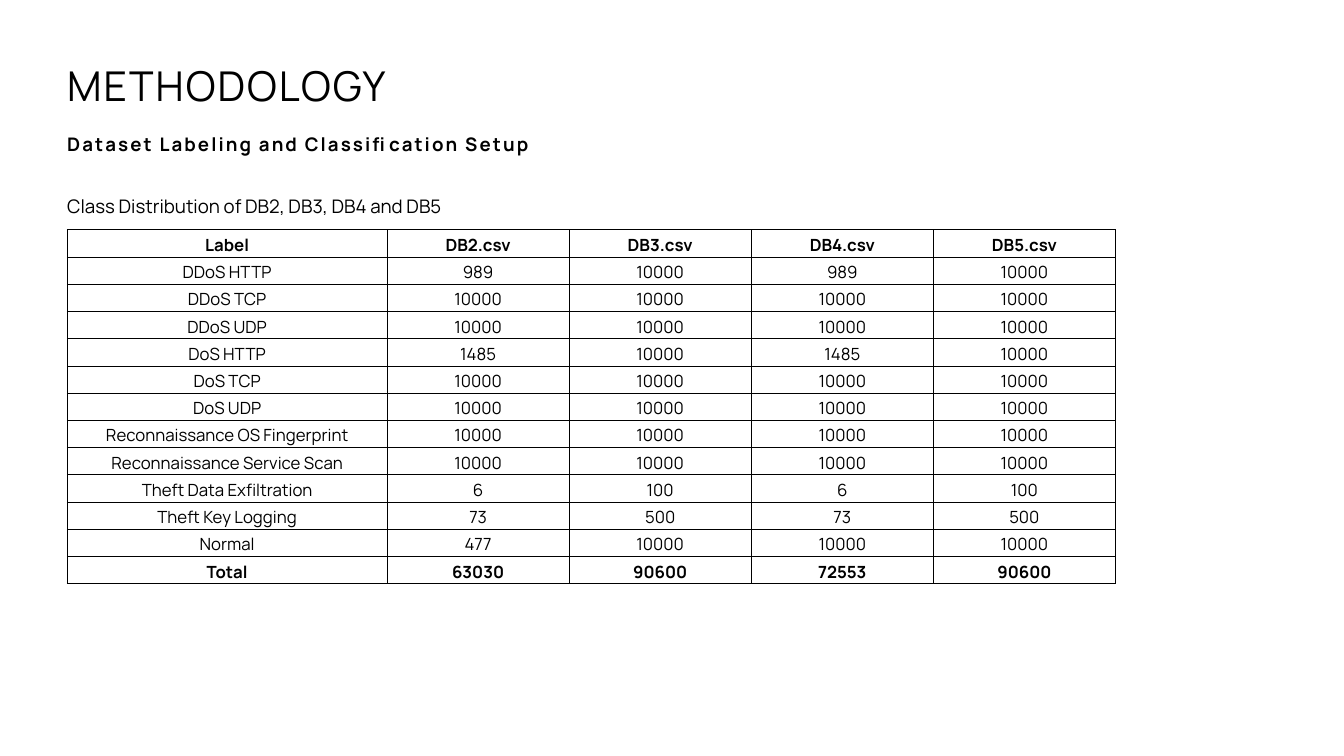
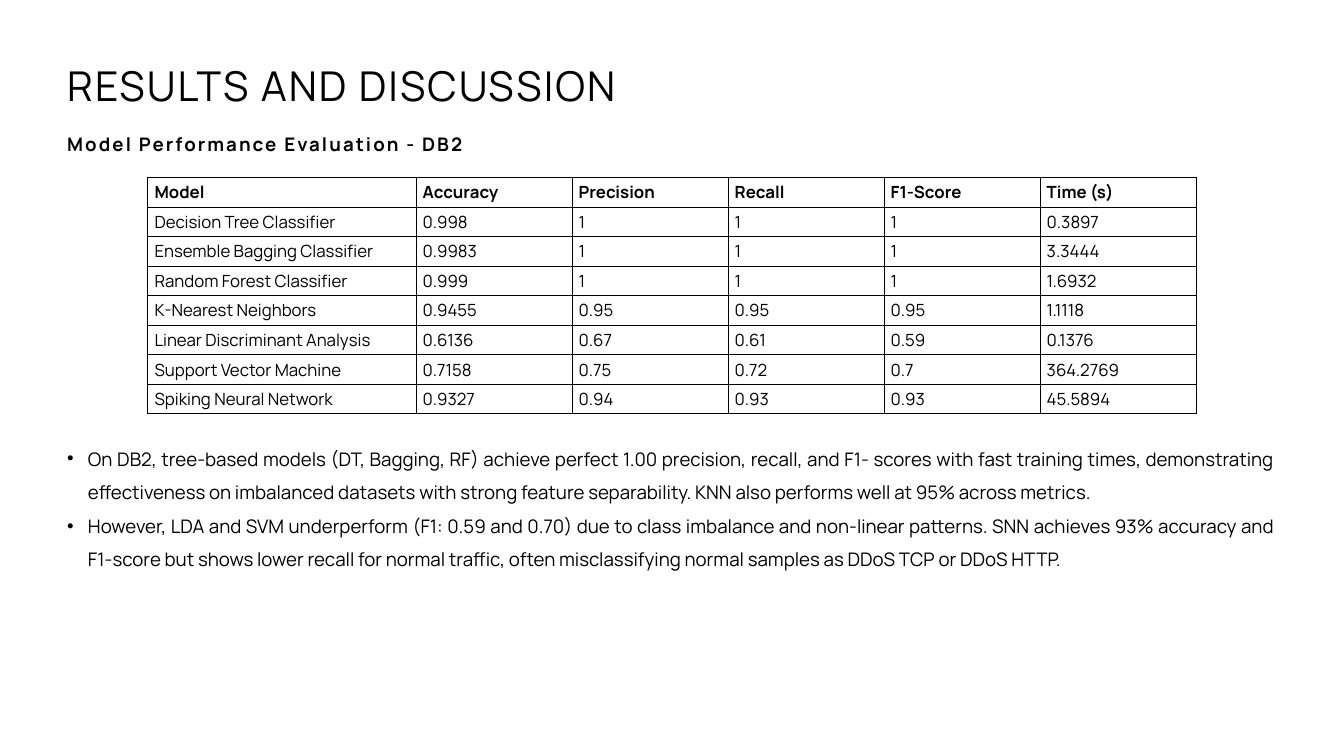
from lxml import etree
from pptx import Presentation
from pptx import util as u
from pptx.dml.color import RGBColor
from pptx.enum import text
from pptx.oxml import ns

BLACK = RGBColor(0x00, 0x00, 0x00)
WHITE = RGBColor(0xFF, 0xFF, 0xFF)
FONT = "Manrope"
MARGIN = 1
LETTER_SPACING = 220
TABLE_WIDTH = 15.6
BULLET_INDENT = u.Inches(0.31)

CLASS_COUNTS = [
    ("Label", "DB2.csv", "DB3.csv", "DB4.csv", "DB5.csv"),
    ("DDoS HTTP", 989, 10000, 989, 10000),
    ("DDoS TCP", 10000, 10000, 10000, 10000),
    ("DDoS UDP", 10000, 10000, 10000, 10000),
    ("DoS HTTP", 1485, 10000, 1485, 10000),
    ("DoS TCP", 10000, 10000, 10000, 10000),
    ("DoS UDP", 10000, 10000, 10000, 10000),
    ("Reconnaissance OS Fingerprint", 10000, 10000, 10000, 10000),
    ("Reconnaissance Service Scan", 10000, 10000, 10000, 10000),
    ("Theft Data Exfiltration", 6, 100, 6, 100),
    ("Theft Key Logging", 73, 500, 73, 500),
    ("Normal", 477, 10000, 10000, 10000),
    ("Total", 63030, 90600, 72553, 90600),
]

MODEL_SCORES = [
    ("Model", "Accuracy", "Precision", "Recall", "F1-Score", "Time (s)"),
    ("Decision Tree Classifier", 0.998, 1, 1, 1, 0.3897),
    ("Ensemble Bagging Classifier", 0.9983, 1, 1, 1, 3.3444),
    ("Random Forest Classifier", 0.999, 1, 1, 1, 1.6932),
    ("K-Nearest Neighbors", 0.9455, 0.95, 0.95, 0.95, 1.1118),
    ("Linear Discriminant Analysis", 0.6136, 0.67, 0.61, 0.59, 0.1376),
    ("Support Vector Machine", 0.7158, 0.75, 0.72, 0.7, 364.2769),
    ("Spiking Neural Network", 0.9327, 0.94, 0.93, 0.93, 45.5894),
]

FINDINGS = [
    "On DB2, tree-based models (DT, Bagging, RF) achieve perfect 1.00 precision, recall, "
    "and F1- scores with fast training times, demonstrating effectiveness on imbalanced "
    "datasets with strong feature separability. KNN also performs well at 95% across metrics.",
    "However, LDA and SVM underperform (F1: 0.59 and 0.70) due to class imbalance and "
    "non-linear patterns. SNN achieves 93% accuracy and F1-score but shows lower recall for "
    "normal traffic, often misclassifying normal samples as DDoS TCP or DDoS HTTP.",
]


def format_runs(paragraph, size, bold=False, spacing=None):
    """Give every run of a paragraph the shared font."""
    for run in paragraph.runs:
        run.font.name = FONT
        run.font.size = u.Pt(size)
        run.font.bold = bold
        run.font.color.rgb = BLACK
        if spacing:
            run.font._element.set("spc", str(spacing))


def add_text(slide, box, lines, size, bold=False, spacing=None, line_spacing=None, align=None):
    """Add a text box without insets and return its paragraphs."""
    frame = slide.shapes.add_textbox(*map(u.Inches, box)).text_frame
    frame.word_wrap = True
    frame.auto_size = text.MSO_AUTO_SIZE.SHAPE_TO_FIT_TEXT
    frame.margin_left = frame.margin_right = frame.margin_top = frame.margin_bottom = 0
    frame.text = "\n".join(lines)
    for paragraph in frame.paragraphs:
        paragraph.alignment = align
        paragraph.line_spacing = line_spacing
        format_runs(paragraph, size, bold, spacing)
    return frame.paragraphs


def add_bullets(slide, box, lines):
    """Add justified paragraphs with hanging bullets."""
    paragraphs = add_text(slide, box, lines, 20, line_spacing=1.5, align=text.PP_ALIGN.JUSTIFY)
    for paragraph in paragraphs:
        properties = paragraph._p.get_or_add_pPr()
        properties.set("marL", str(BULLET_INDENT))
        properties.set("indent", str(-BULLET_INDENT))
        etree.SubElement(properties, ns.qn("a:buFont"), typeface="Arial")
        etree.SubElement(properties, ns.qn("a:buChar"), char="•")


def add_borders(cell):
    """Draw a thin black line on all four sides of a cell."""
    properties = cell._tc.get_or_add_tcPr()
    for side in ("lnL", "lnR", "lnT", "lnB"):
        line = etree.SubElement(properties, ns.qn(f"a:{side}"), w=str(u.Pt(1)))
        fill = etree.SubElement(line, ns.qn("a:solidFill"))
        etree.SubElement(fill, ns.qn("a:srgbClr"), val=str(BLACK))


def add_grid(slide, left, top, height, first_width, rows, bold_rows, align, anchor, padding):
    """Add a ruled table with a wide first column and equal other columns."""
    column_count = len(rows[0])
    table = slide.shapes.add_table(
        len(rows), column_count, *map(u.Inches, (left, top, TABLE_WIDTH, height))).table
    table.first_row = table.horz_banding = False
    other_width = (TABLE_WIDTH - first_width) / (column_count - 1)
    for index, column in enumerate(table.columns):
        column.width = u.Inches(other_width if index else first_width)
    for row_index, values in enumerate(rows):
        table.rows[row_index].height = u.Inches(height / len(rows))
        for column_index, value in enumerate(values):
            cell = table.cell(row_index, column_index)
            cell.text = str(value)
            cell.vertical_anchor = anchor
            cell.margin_top = cell.margin_bottom = u.Inches(padding)
            add_borders(cell)
            cell.fill.background()
            paragraph = cell.text_frame.paragraphs[0]
            paragraph.alignment = align
            format_runs(paragraph, 18, bold=row_index in bold_rows)


def add_headed_slide(presentation, title, subtitle, title_width):
    """Add a white slide with its title and bold subtitle."""
    slide = presentation.slides.add_slide(presentation.slide_layouts[6])
    slide.background.fill.solid()
    slide.background.fill.fore_color.rgb = WHITE
    add_text(slide, (MARGIN, 0.77, title_width, 0.82), [title], 44,
             spacing=LETTER_SPACING, line_spacing=u.Pt(61.6))
    add_text(slide, (MARGIN, 1.97, 7.37, 0.34), [subtitle], 20,
             bold=True, spacing=LETTER_SPACING)
    return slide


def add_methodology(presentation):
    """Build the slide on class distribution."""
    slide = add_headed_slide(
        presentation, "METHODOLOGY", "Dataset Labeling and Classification Setup", 4.98)
    add_text(slide, (MARGIN, 2.74, 7.53, 0.46), ["Class Distribution of DB2, DB3, DB4 and DB5"],
             20, line_spacing=1.5, align=text.PP_ALIGN.JUSTIFY)
    add_grid(slide, MARGIN, 3.42, 5.27, 4.76, CLASS_COUNTS, (0, len(CLASS_COUNTS) - 1),
             text.PP_ALIGN.CENTER, text.MSO_ANCHOR.BOTTOM, 0.01)


def add_results(presentation):
    """Build the slide on model performance."""
    slide = add_headed_slide(
        presentation, "RESULTS AND DISCUSSION", "Model Performance Evaluation - DB2", 9.51)
    add_grid(slide, 2.2, 2.64, 3.52, 3.99, MODEL_SCORES, (0,),
             text.PP_ALIGN.LEFT, text.MSO_ANCHOR.TOP, 0.05)
    add_bullets(slide, (MARGIN, 6.49, 17.97, 2.98), FINDINGS)


def main():
    """Build and save the presentation."""
    presentation = Presentation()
    presentation.slide_width = u.Inches(20)
    presentation.slide_height = u.Inches(11.25)
    add_methodology(presentation)
    add_results(presentation)
    presentation.save("out.pptx")


if __name__ == "__main__":
    main()
